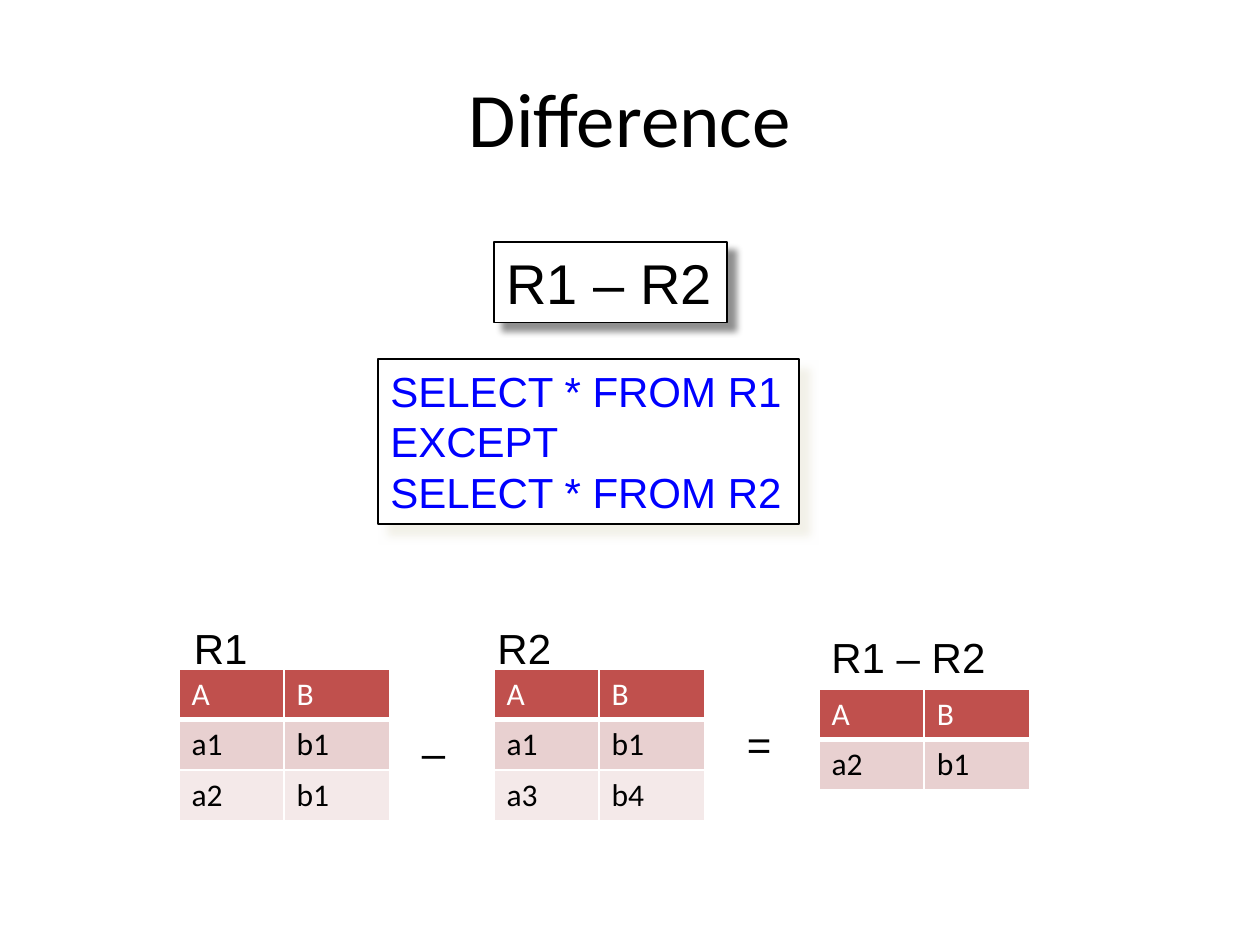
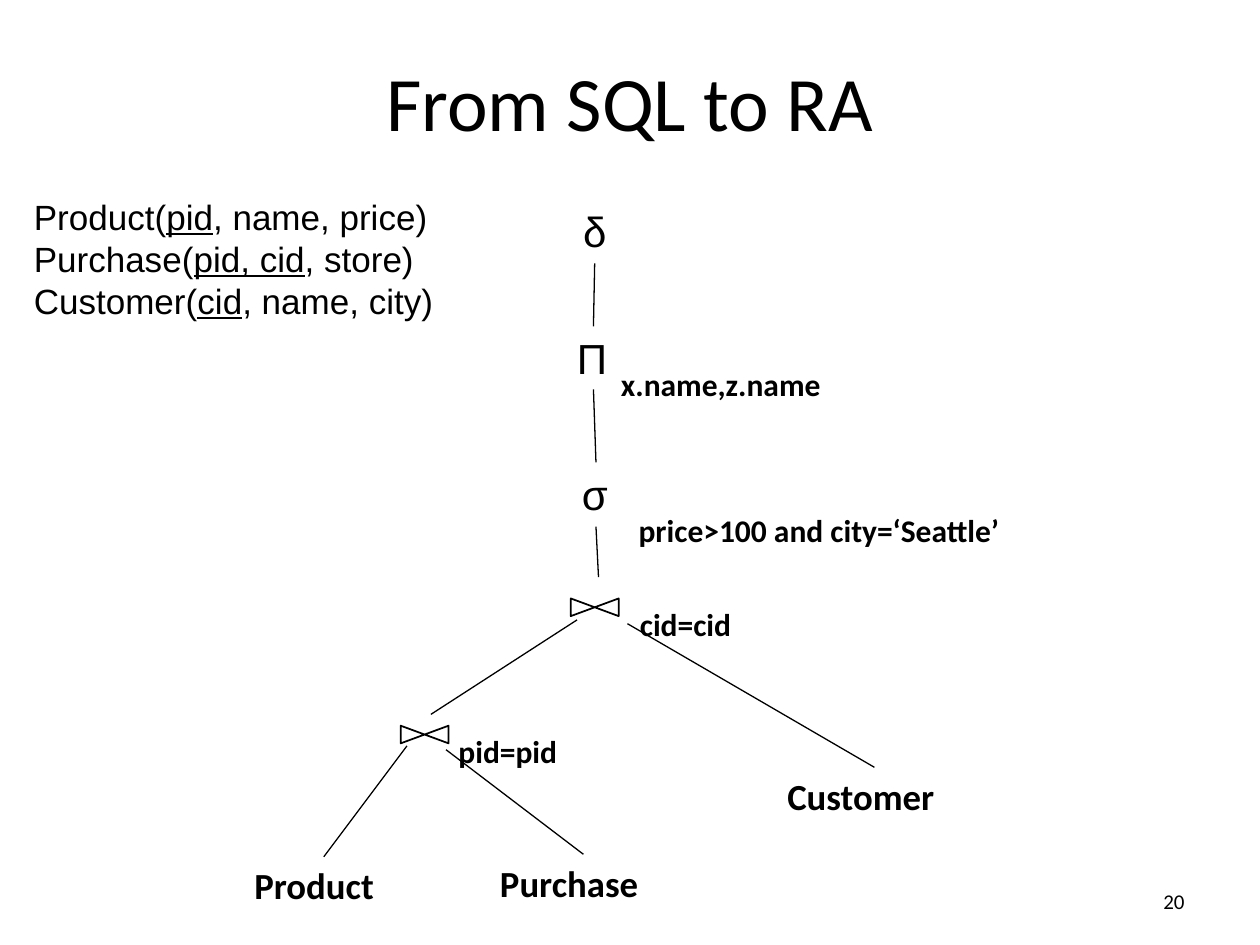
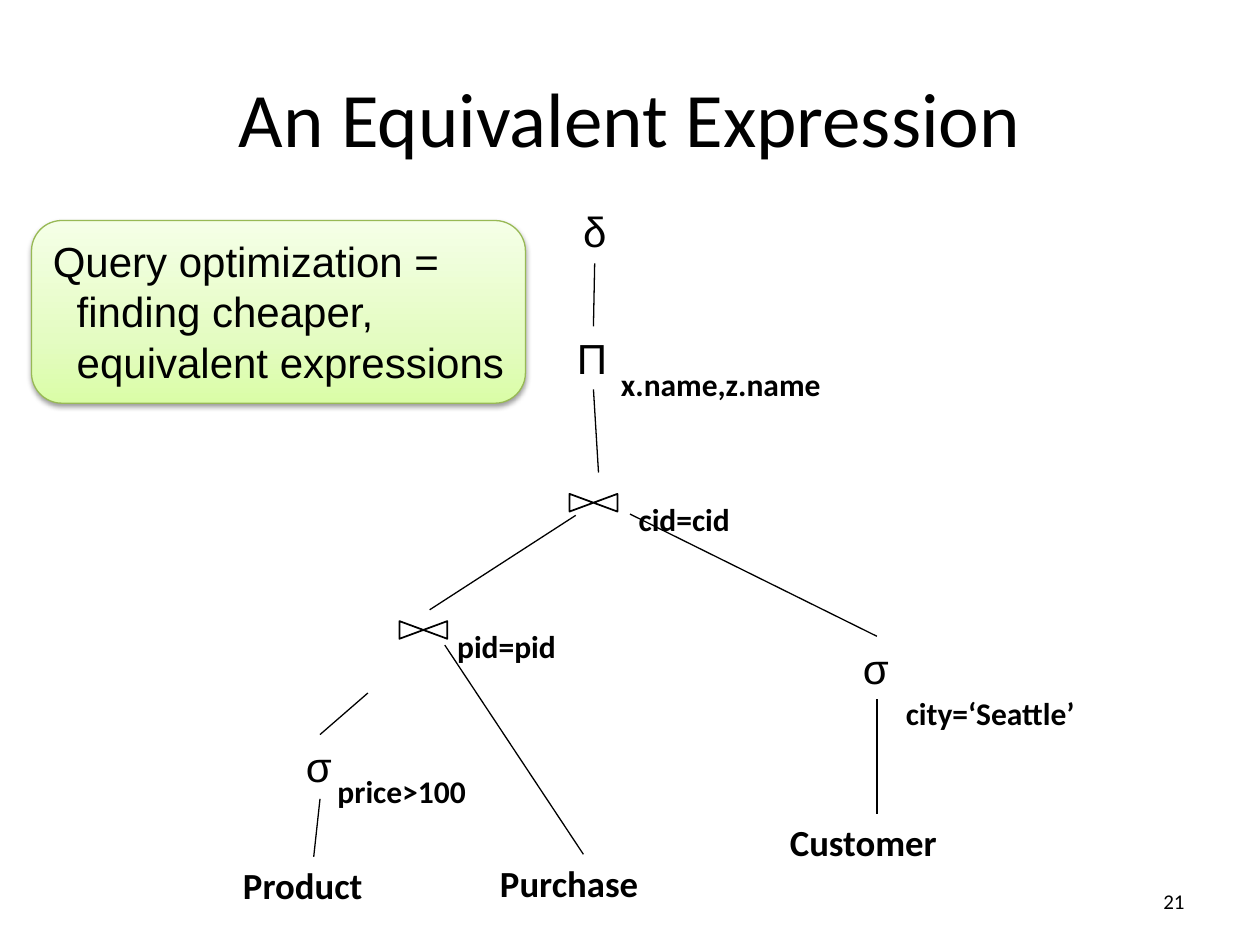
"""Build three relational algebra slides: difference, SQL to RA, and an equivalent plan."""
from dataclasses import dataclass

from lxml.etree import SubElement
from pptx import Presentation
from pptx.dml.color import RGBColor
from pptx.enum.shapes import MSO_CONNECTOR, MSO_SHAPE
from pptx.enum.text import MSO_ANCHOR, PP_ALIGN
from pptx.oxml.ns import qn
from pptx.util import Emu, Inches, Pt

LEFT, CENTER, RIGHT = PP_ALIGN.LEFT, PP_ALIGN.CENTER, PP_ALIGN.RIGHT
TOP, MIDDLE = MSO_ANCHOR.TOP, MSO_ANCHOR.MIDDLE
RECTANGLE, ROUNDED = MSO_SHAPE.RECTANGLE, MSO_SHAPE.ROUNDED_RECTANGLE
STRAIGHT = MSO_CONNECTOR.STRAIGHT
COLUMNS, ROWS = 10, 7.5
BLANK_LAYOUT = 6


@dataclass(frozen=True)
class Theme:
    heading_font: str = "Calibri"
    body_font: str = "Arial"
    ink: str = "000000"
    paper: str = "FFFFFF"
    query: str = "0000FF"
    header: str = "C0504D"
    bands: tuple = ("E8D0D0", "F4E9E9")
    callout_line: str = "98B955"
    callout_stops: tuple = ((0, "DAFDA7"), (35, "E4FCC2"), (100, "F5FFE7"))
    title_size: float = 44
    formula_size: float = 32
    body_size: float = 24
    leaf_size: float = 21
    schema_size: float = 20
    label_size: float = 18
    number_size: float = 12
    thin: float = 0.75
    medium: float = 1
    thick: float = 3


THEME = Theme()


def write(frame, text, *, size, font=THEME.body_font, color=THEME.ink, bold=False,
          align=LEFT, anchor=TOP, wrap=False, indent=0):
    frame.word_wrap = wrap
    frame.vertical_anchor = anchor
    for number, line in enumerate(text.split("\n")):
        paragraph = frame.paragraphs[0] if number == 0 else frame.add_paragraph()
        paragraph.alignment = align
        if number and indent:
            paragraph._p.get_or_add_pPr().set("marL", str(Inches(indent)))
        for part, words in enumerate(line.split("_")):
            run = paragraph.add_run()
            run.text = words
            run.font.name, run.font.size, run.font.bold = font, Pt(size), bold
            run.font.color.rgb = RGBColor.from_string(color)
            if part % 2:
                run.font.underline = True


class Deck:
    def __init__(self, theme):
        self.theme = theme
        self.presentation = Presentation()
        self.presentation.slide_width = Inches(10)
        self.presentation.slide_height = Inches(7.5)
        self.slide = None

    def x(self, columns):
        return Emu(round(self.presentation.slide_width * columns / COLUMNS))

    def y(self, rows):
        return Emu(round(self.presentation.slide_height * rows / ROWS))

    def area(self, left, top, width, height):
        return self.x(left), self.y(top), self.x(width), self.y(height)

    def start(self, title, area=(0.5, 0.3, 9, 1.25), number=None):
        layout = self.presentation.slide_layouts[BLANK_LAYOUT]
        self.slide = self.presentation.slides.add_slide(layout)
        self.text(title, area, size=self.theme.title_size, font=self.theme.heading_font,
                  align=CENTER, anchor=MIDDLE, wrap=True)
        if number:
            self.text(number, (7.17, 6.95, 2.33, 0.4), size=self.theme.number_size,
                      font=self.theme.heading_font, align=RIGHT, anchor=MIDDLE, wrap=True)

    def text(self, text, area, **style):
        box = self.slide.shapes.add_textbox(*self.area(*area))
        write(box.text_frame, text, **style)

    def body(self, text, left, top, width):
        self.text(text, (left, top, width, 0.5), size=self.theme.body_size)

    def label(self, text, left, top, width):
        self.text(text, (left, top, width, 0.4), size=self.theme.label_size,
                  font=self.theme.heading_font, bold=True)

    def leaf(self, text, left, top, width):
        self.text(text, (left, top, width, 0.45), size=self.theme.leaf_size,
                  font=self.theme.heading_font, bold=True)

    def outline(self, shape, color, weight):
        shape.line.color.rgb = RGBColor.from_string(color)
        shape.line.width = Pt(weight)

    def box(self, text, area, *, kind=RECTANGLE, line=THEME.ink, weight=THEME.thin,
            shadow, **style):
        shape = self.slide.shapes.add_shape(kind, *self.area(*area))
        shape.fill.solid()
        shape.fill.fore_color.rgb = RGBColor.from_string(self.theme.paper)
        self.outline(shape, line, weight)
        self.shadow(shape, *shadow)
        write(shape.text_frame, text, **style)
        return shape

    def shadow(self, shape, color, opacity, blur, distance, angle):
        shape.shadow.inherit = False
        effects = shape._element.spPr.find(qn("a:effectLst"))
        outer = SubElement(effects, qn("a:outerShdw"), blurRad=str(Pt(blur)),
                           dist=str(Pt(distance)), dir=str(angle * 60000),
                           algn="ctr", rotWithShape="0")
        tint = SubElement(outer, qn("a:srgbClr"), val=color)
        SubElement(tint, qn("a:alpha"), val=str(opacity * 1000))

    def callout(self, text, area):
        shape = self.box(text, area, kind=ROUNDED, line=self.theme.callout_line,
                         shadow=(self.theme.ink, 38, 3.1, 1.6, 90),
                         size=self.theme.body_size, indent=0.19)
        shape.fill.gradient()
        shape.fill.gradient_angle = 90
        stops = shape._element.spPr.find(".//" + qn("a:gsLst"))
        stops[:] = []
        for position, color in self.theme.callout_stops:
            stop = SubElement(stops, qn("a:gs"), pos=str(position * 1000))
            SubElement(stop, qn("a:srgbClr"), val=color)

    def edge(self, start, end):
        connector = self.slide.shapes.add_connector(
            STRAIGHT, self.x(start[0]), self.y(start[1]), self.x(end[0]), self.y(end[1]))
        self.outline(connector, self.theme.ink, self.theme.thin)
        SubElement(connector._element.spPr, qn("a:effectLst"))

    def edges(self, pairs):
        for start, end in pairs:
            self.edge(start, end)

    def join(self, condition, left, top, label_left, label_width):
        right, bottom = left + 0.38, top + 0.14
        corners = [(right, bottom), (right, top), (left, bottom)]
        builder = self.slide.shapes.build_freeform(self.x(left), self.y(top))
        builder.add_line_segments([(self.x(x), self.y(y)) for x, y in corners])
        bowtie = builder.convert_to_shape()
        bowtie.fill.background()
        bowtie.shadow.inherit = False
        self.outline(bowtie, self.theme.ink, self.theme.medium)
        self.label(condition, label_left, top, label_width)

    def relation(self, rows, left, top):
        width, height = 1.67, 0.4
        table = self.slide.shapes.add_table(
            len(rows), len(rows[0]),
            *self.area(left, top, width, height * len(rows))).table
        for row, values in enumerate(rows):
            fill = self.theme.bands[(row - 1) % 2] if row else self.theme.header
            for column, value in enumerate(values):
                cell = table.cell(row, column)
                cell.fill.solid()
                cell.fill.fore_color.rgb = RGBColor.from_string(fill)
                write(cell.text_frame, value, size=self.theme.label_size,
                      font=self.theme.heading_font, wrap=None,
                      color=self.theme.ink if row else self.theme.paper)
                self.borders(cell, above=row == 1, below=row == 0)

    def borders(self, cell, above, below):
        properties = cell._tc.get_or_add_tcPr()
        heavy = {"T": above, "B": below}
        for place, side in enumerate("LRTB"):
            weight = self.theme.thick if heavy.get(side) else self.theme.medium
            line = SubElement(properties, qn("a:ln" + side), w=str(Pt(weight)))
            fill = SubElement(line, qn("a:solidFill"))
            SubElement(fill, qn("a:srgbClr"), val=self.theme.paper)
            properties.insert(place, line)

    def plan_top(self):
        self.body("δ", 4.53, 1.58, 0.39)
        self.body("Π", 4.48, 2.59, 0.45)
        self.label("x.name,z.name", 4.83, 2.85, 2)
        self.edge((4.71, 2.59), (4.72, 2.09))

    def joins(self, left, top):
        self.join("cid=cid", left, top, left + 0.45, 1.08)
        self.join("pid=pid", left - 1.35, top + 1.01, left - 0.99, 1.11)
        self.edge((left - 1.11, top + 0.92), (left + 0.05, top + 0.17))
        self.leaf("Purchase", 3.87, 6.78, 1.53)
        self.edge((4.63, 6.78), (left - 0.99, top + 1.2))


def difference(deck):
    theme = deck.theme
    deck.start("Difference")
    deck.box("R1 – R2", (3.92, 1.92, 1.85, 0.64), size=theme.formula_size,
             shadow=(theme.ink, 43, 4, 7, 45))
    deck.box("SELECT * FROM R1\nEXCEPT\nSELECT * FROM R2", (3, 2.85, 3.34, 1.31),
             weight=theme.medium, size=theme.body_size, color=theme.query,
             shadow=("EEECE1", 75, 5, 8.5, 45))
    header = ("A", "B")
    deck.relation([header, ("a1", "b1"), ("a2", "b1")], 1.42, 5.31)
    deck.relation([header, ("a1", "b1"), ("a3", "b4")], 3.92, 5.31)
    deck.relation([header, ("a2", "b1")], 6.5, 5.47)
    deck.body("R1", 1.44, 4.89, 0.63)
    deck.body("–", 3.25, 5.72, 0.39)
    deck.body("R2", 3.85, 4.89, 0.63)
    deck.body("=", 5.83, 5.65, 0.4)
    deck.body("R1 – R2", 6.5, 4.96, 1.44)


def sql_to_algebra(deck):
    deck.start("From SQL to RA", (0.75, 0.17, 8.5, 1.25), number="20")
    deck.text("Product(_pid_, name, price)\nPurchase(_pid, cid_, store)\n"
              "Customer(_cid_, name, city)", (0.17, 1.5, 3.4, 1.11),
              size=deck.theme.schema_size)
    deck.plan_top()
    deck.body("σ", 4.52, 3.67, 0.41)
    deck.label("price>100 and city=‘Seattle’", 4.97, 4.01, 3.52)
    deck.joins(4.53, 4.75)
    deck.leaf("Product", 1.92, 6.8, 1.32)
    deck.leaf("Customer", 6.15, 6.09, 1.58)
    deck.edges([((4.73, 3.67), (4.71, 3.09)), ((4.75, 4.58), (4.73, 4.18)),
                ((2.57, 6.8), (3.23, 5.92)), ((6.94, 6.09), (4.98, 4.95))])


def equivalent_expression(deck):
    deck.start("An Equivalent Expression", number="21")
    deck.plan_top()
    deck.joins(4.52, 3.92)
    deck.body("σ", 2.33, 5.83, 0.41)
    deck.label("price>100", 2.58, 6.08, 1.38)
    deck.leaf("Product", 1.83, 6.8, 1.32)
    deck.body("σ", 6.75, 5.05, 0.41)
    deck.label("city=‘Seattle’", 7.09, 5.46, 1.75)
    deck.leaf("Customer", 6.17, 6.46, 1.58)
    deck.edges([((4.71, 3.09), (4.75, 3.75)), ((6.96, 5.05), (5, 4.08)),
                ((6.96, 6.46), (6.96, 5.55)), ((2.54, 5.83), (2.92, 5.5)),
                ((2.49, 6.8), (2.54, 6.34))])
    deck.callout("Query optimization =\nfinding cheaper,\nequivalent expressions",
                 (0.25, 1.75, 3.92, 1.45))


def main():
    deck = Deck(THEME)
    for build in (difference, sql_to_algebra, equivalent_expression):
        build(deck)
    deck.presentation.save("out.pptx")


main()
